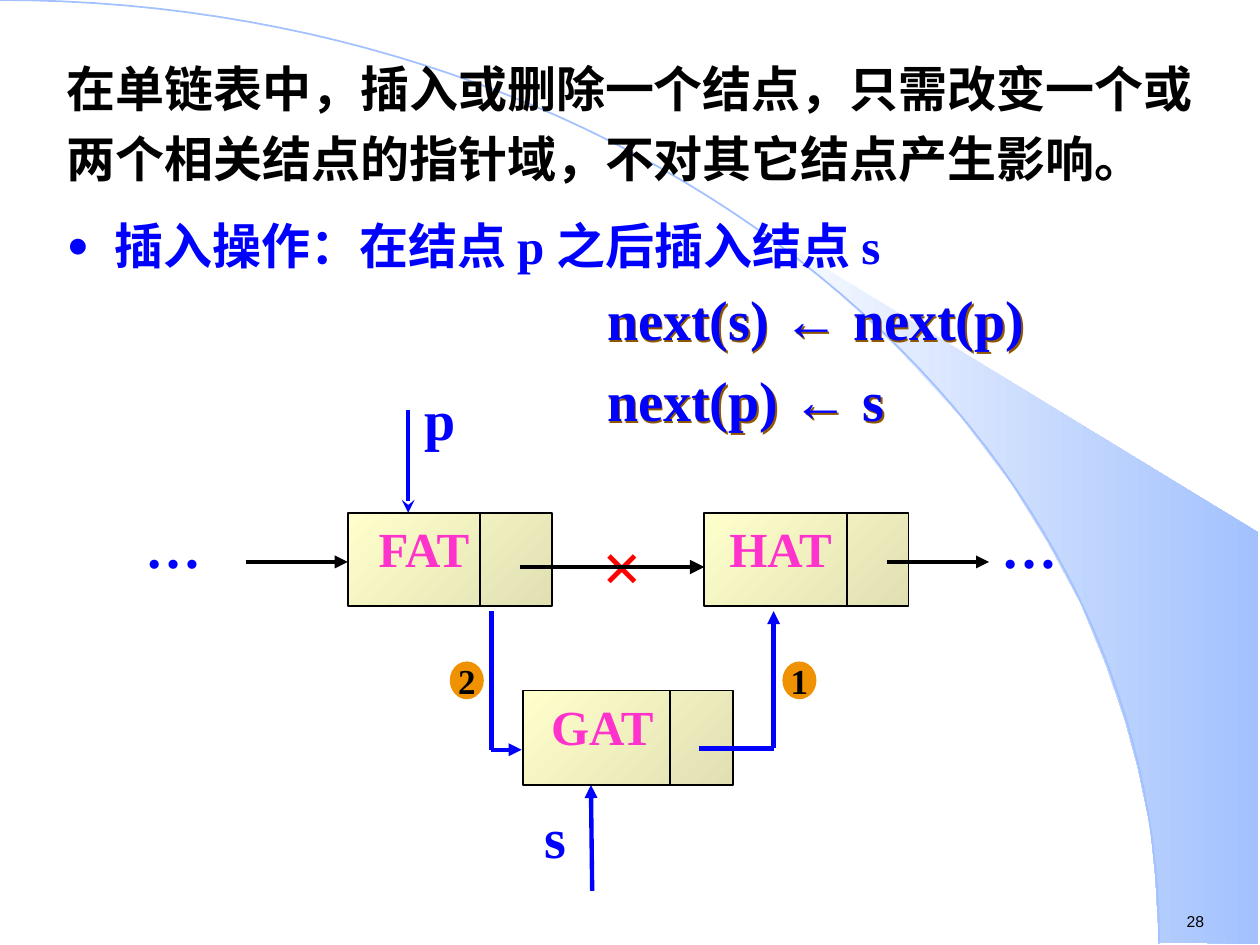
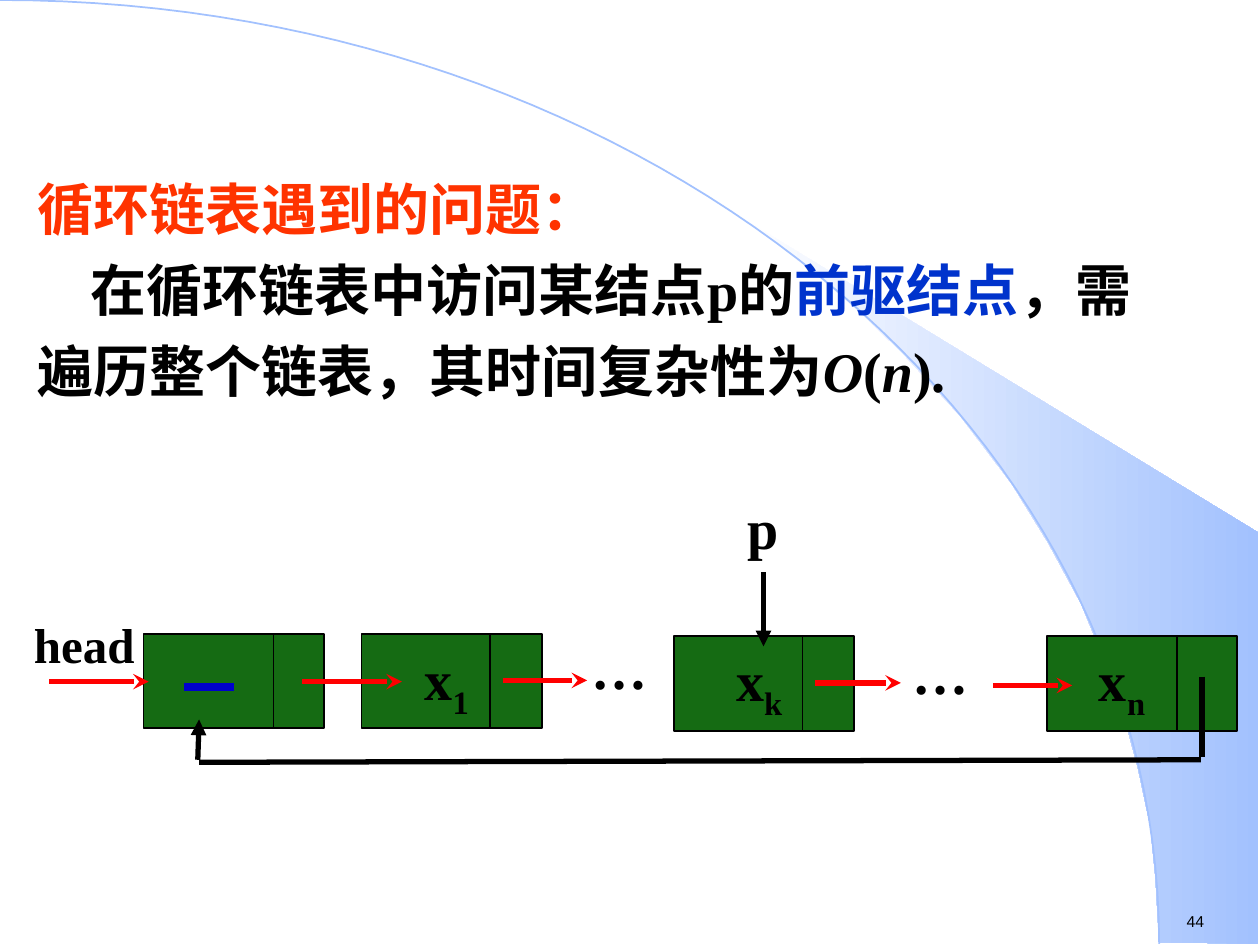
"""Build two slides on inserting into a linked list and on circular lists."""
from dataclasses import dataclass

from lxml.etree import SubElement
from pptx import Presentation
from pptx.dml.color import RGBColor
from pptx.enum.shapes import MSO_CONNECTOR, MSO_SHAPE
from pptx.enum.text import MSO_ANCHOR, MSO_AUTO_SIZE, PP_ALIGN
from pptx.oxml.ns import qn
from pptx.util import Inches, Pt


@dataclass(frozen=True)
class Theme:
    serif: str = "Times New Roman"
    sans: str = "Arial"
    black: str = "000000"
    blue: str = "0000FF"
    deep_blue: str = "0033CC"
    dash_blue: str = "0000CC"
    red: str = "FF0000"
    heading_red: str = "FF3300"
    pink: str = "FF33CC"
    orange: str = "EF9100"
    shadow: str = "8F5700"
    green: str = "156B13"
    white: str = "FFFFFF"
    sky: str = "A2C1FE"
    cream: str = "FFFFCC"
    khaki: str = "E0E0B3"
    cross: int = 40
    large: int = 32
    medium: int = 28
    step: int = 20
    footer: int = 9


theme = Theme()


def write(para, text, size=theme.large, color=theme.black, font=theme.serif,
          bold=True, italic=False, baseline=None):
    span = para.add_run()
    span.text = text
    span.font.size = Pt(size)
    span.font.bold = bold
    span.font.italic = italic
    span.font.name = font
    span.font.color.rgb = RGBColor.from_string(color)
    if baseline:
        span.font._element.set("baseline", str(baseline * 1000))


def draw_line(page, start, end, color=theme.black, width=2.5, head=None):
    line = page.shapes.add_connector(MSO_CONNECTOR.STRAIGHT, *map(Inches, start + end))
    line.line.width = Pt(width)
    line.line.color.rgb = RGBColor.from_string(color)
    properties = line.element.spPr
    if head:
        SubElement(properties.find(qn("a:ln")), qn("a:tailEnd"), type=head)
    SubElement(properties, qn("a:effectLst"))


deck = Presentation()
deck.slide_width, deck.slide_height = Inches(10), Inches(7.5)
layout = deck.slide_layouts[1]
insertion = deck.slides.add_slide(layout)
circular = deck.slides.add_slide(layout)

wedge_points = [
    (9.2, 7.48), (9.99, 7.49), (9.99, 4.23), (5.89, 1.73), (6.24, 1.99), (6.53, 2.22),
    (6.85, 2.5), (7.16, 2.8), (7.62, 3.3), (8.03, 3.84), (8.32, 4.31), (8.58, 4.79),
    (8.78, 5.28), (8.93, 5.72), (9.03, 6.09), (9.13, 6.56), (9.17, 6.96),
]
arc_steps = 60
arc_points = []
for step in range(arc_steps + 1):
    t = step / arc_steps
    arc_points.append((
        3 * (1 - t) ** 2 * t * 5.08 + 3 * (1 - t) * t ** 2 * 9.2 + t ** 3 * 9.2,
        3 * (1 - t) * t ** 2 * 3.35 + t ** 3 * 7.49,
    ))

backdrop = []
for points, closed in [(wedge_points, True), (arc_points, False)]:
    corners = [(Inches(x), Inches(y)) for x, y in points]
    builder = insertion.shapes.build_freeform(*corners[0])
    builder.add_line_segments(corners[1:], close=closed)
    shape = builder.convert_to_shape()
    shape.shadow.inherit = False
    backdrop.append(shape)
wedge, arc = backdrop
wedge.fill.gradient()
wedge.fill.gradient_angle = 0
for stop, color in zip(wedge.fill.gradient_stops, (theme.white, theme.sky)):
    stop.color.rgb = RGBColor.from_string(color)
wedge.line.fill.background()
arc.fill.background()
arc.line.color.rgb = RGBColor.from_string(theme.sky)
arc.line.width = Pt(1)
for position, shape in enumerate(backdrop, start=2):
    layout.shapes.element.insert(position, shape.element)

statement = insertion.shapes.title
operation = insertion.placeholders[1]
problem = circular.placeholders[1]
circular.shapes.title.element.getparent().remove(circular.shapes.title.element)
for box, place in [
    (statement, (0.43, 0.32, 9.15, 1.22)),
    (operation, (0.43, 1.66, 7.52, 0.67)),
    (problem, (0.2, 1.23, 9.21, 2.16)),
]:
    box.left, box.top, box.width, box.height = map(Inches, place)
    box.text_frame.word_wrap = True
    box.text_frame.auto_size = MSO_AUTO_SIZE.NONE
    box.text_frame.vertical_anchor = MSO_ANCHOR.TOP

para = statement.text_frame.paragraphs[0]
para.alignment = PP_ALIGN.LEFT
para.line_spacing = 1.2
para.space_before = Pt(0)
write(para, "在单链表中，插入或删除一个结点，只需改变一个或两个相关结点的指针域，不对其它结点产生影响。",
      size=theme.medium)

para = operation.text_frame.paragraphs[0]
para.space_before = Pt(0)
bullet = para._p.get_or_add_pPr()
bullet.set("marL", str(Inches(0.38)))
bullet.set("indent", str(-Inches(0.38)))
SubElement(SubElement(bullet, qn("a:buClr")), qn("a:srgbClr"), val=theme.blue)
SubElement(bullet, qn("a:buSzPct"), val="75000")
SubElement(bullet, qn("a:buChar"), char="●")
write(para, "插入操作：在结点 p 之后插入结点 s", size=theme.medium, color=theme.blue)

problem_lines = [
    (0, [("循环链表遇到的问题：", theme.heading_red, False)]),
    (0.42, [
        ("在循环链表中访问某结点p的", theme.black, False),
        ("前驱结点", theme.deep_blue, False),
        ("，需遍历整个链表，其时间复杂性为", theme.black, False),
        ("O", theme.black, True),
        ("(", theme.black, False),
        ("n", theme.black, True),
        (").", theme.black, False),
    ]),
]
frame = problem.text_frame
for number, (indent, spans) in enumerate(problem_lines):
    para = frame.add_paragraph() if number else frame.paragraphs[0]
    para.line_spacing = 1.2
    para.space_before = Pt(0)
    plain = para._p.get_or_add_pPr()
    plain.set("marL", "0")
    plain.set("indent", str(Inches(indent)))
    SubElement(plain, qn("a:buNone"))
    for text, color, italic in spans:
        write(para, text, color=color, italic=italic)

code = insertion.shapes.add_textbox(Inches(4.72), Inches(2.21), Inches(4.84), Inches(1.28))
code.text_frame.word_wrap = True
for number, (target, value) in enumerate([("next(s) ", " next(p)"), ("next(p) ", " s")]):
    para = code.text_frame.add_paragraph() if number else code.text_frame.paragraphs[0]
    para.space_before = Pt(8 * number)
    for text, font in [(target, theme.serif), ("←", theme.sans), (value, theme.serif)]:
        write(para, text, color=theme.blue, font=font)
effects = SubElement(code.element.spPr, qn("a:effectLst"))
shadow = SubElement(effects, qn("a:outerShdw"), dist=str(Pt(1.4)), dir="2700000", algn="ctr")
SubElement(shadow, qn("a:srgbClr"), val=theme.shadow)

for page, left, top, width, height, divider in [
    (insertion, 2.76, 4.07, 1.62, 0.74, 3.81),
    (insertion, 5.59, 4.07, 1.62, 0.74, 6.72),
    (insertion, 4.15, 5.48, 1.67, 0.75, 5.32),
    (circular, 1.14, 5.03, 1.43, 0.75, 2.17),
    (circular, 2.87, 5.03, 1.43, 0.75, 3.89),
    (circular, 5.35, 5.05, 1.43, 0.75, 6.37),
    (circular, 8.31, 5.05, 1.51, 0.75, 9.34),
]:
    node = page.shapes.add_shape(MSO_SHAPE.RECTANGLE, *map(Inches, (left, top, width, height)))
    node.shadow.inherit = False
    node.line.color.rgb = RGBColor.from_string(theme.black)
    node.line.width = Pt(1)
    if page is insertion:
        node.fill.gradient()
        node.fill.gradient_angle = 315
        for stop, color in zip(node.fill.gradient_stops, (theme.cream, theme.khaki)):
            stop.color.rgb = RGBColor.from_string(color)
    else:
        node.fill.solid()
        node.fill.fore_color.rgb = RGBColor.from_string(theme.green)
    draw_line(page, (divider, top), (divider, top + height), width=1)

serif_label = {"inset": (0.1, 0.05)}
tight = {"inset": (0, 0), "align": PP_ALIGN.CENTER, "spacing": 0.7}
name = {"inset": (0.1, 0.05), "align": PP_ALIGN.CENTER}
value = {**name, "spacing": 0.8}
dots = {**serif_label, "spacing": 1.05}
blue = {"color": theme.blue}
pink = {"color": theme.pink, "size": theme.medium}
number_format = {"size": theme.footer, "font": theme.sans, "bold": False}
for page, text, subscript, place, layout_format, text_format in [
    (insertion, "28", "", (9.32, 7.19, 0.77, 0.25), serif_label, number_format),
    (insertion, "×", "", (4.68, 4.1, 0.51, 0.77), serif_label,
     {"size": theme.cross, "color": theme.red}),
    (insertion, "…", "", (1.06, 3.99, 0.81, 0.66), dots, blue),
    (insertion, "…", "", (7.85, 3.99, 0.81, 0.66), dots, blue),
    (insertion, "FAT", "", (2.84, 4.07, 1.05, 0.57), name, pink),
    (insertion, "HAT", "", (5.67, 4.07, 1.05, 0.57), name, pink),
    (insertion, "GAT", "", (4.24, 5.48, 1.08, 0.57), name, pink),
    (insertion, "p", "", (3.27, 3, 0.48, 0.64), serif_label, blue),
    (insertion, "s", "", (4.22, 6.32, 0.5, 0.64), serif_label, blue),
    (circular, "44", "", (9.32, 7.19, 0.77, 0.25), serif_label, number_format),
    (circular, "head", "", (0.27, 4.97, 0.87, 0.37), {"inset": (0, 0), "spacing": 0.8},
     {"size": theme.medium}),
    (circular, "x", "1", (3.03, 5.12, 1.03, 0.59), value, {}),
    (circular, "x", "k", (5.51, 5.13, 1.03, 0.59), value, {}),
    (circular, "x", "n", (8.39, 5.13, 1.03, 0.59), value, {}),
    (circular, "…", "", (4.65, 5.17, 0.53, 0.37), tight, {}),
    (circular, "…", "", (7.2, 5.21, 0.53, 0.37), tight, {}),
    (circular, "p", "", (5.79, 4.06, 0.53, 0.37), tight, {}),
]:
    frame = page.shapes.add_textbox(*map(Inches, place)).text_frame
    frame.word_wrap = True
    side, edge = map(Inches, layout_format["inset"])
    frame.margin_left = frame.margin_right = side
    frame.margin_top = frame.margin_bottom = edge
    para = frame.paragraphs[0]
    para.alignment = layout_format.get("align", PP_ALIGN.LEFT)
    para.line_spacing = layout_format.get("spacing", 1.0)
    write(para, text, **text_format)
    if subscript:
        write(para, subscript, baseline=-25, **text_format)

for text, left in [("1", 6.21), ("2", 3.57)]:
    badge = insertion.shapes.add_shape(
        MSO_SHAPE.OVAL, Inches(left), Inches(5.25), Inches(0.27), Inches(0.3))
    badge.shadow.inherit = False
    badge.fill.solid()
    badge.fill.fore_color.rgb = RGBColor.from_string(theme.orange)
    badge.line.fill.background()
    frame = badge.text_frame
    frame.word_wrap = False
    frame.vertical_anchor = MSO_ANCHOR.MIDDLE
    frame.margin_left = frame.margin_right = frame.margin_top = frame.margin_bottom = 0
    frame.paragraphs[0].alignment = PP_ALIGN.CENTER
    write(frame.paragraphs[0], text, size=theme.step)

for start, end, color, width, head in [
    ((1.95, 4.46), (2.76, 4.46), theme.black, 2.5, "triangle"),
    ((4.13, 4.5), (5.59, 4.5), theme.black, 2.75, "triangle"),
    ((7.04, 4.46), (7.85, 4.46), theme.black, 2.5, "triangle"),
    ((3.24, 3.25), (3.24, 4.07), theme.blue, 2.5, "stealth"),
    ((3.9, 4.85), (3.9, 5.95), theme.blue, 2.5, None),
    ((3.9, 5.95), (4.14, 5.95), theme.blue, 2.5, "triangle"),
    ((5.55, 5.94), (6.14, 5.94), theme.blue, 2.5, None),
    ((6.14, 5.94), (6.14, 4.85), theme.blue, 2.5, "triangle"),
    ((4.7, 7.07), (4.69, 6.23), theme.blue, 2.5, "triangle"),
]:
    draw_line(insertion, start, end, color, width, head)

for left, right, y in [
    (0.39, 1.18, 5.41), (2.4, 3.19, 5.41), (3.99, 4.66, 5.4),
    (6.47, 7.15, 5.42), (7.88, 8.51, 5.44),
]:
    draw_line(circular, (left, y), (right, y), theme.red, 3, "stealth")
draw_line(circular, (1.46, 5.45), (1.86, 5.45), theme.dash_blue, 4.5)
for start, end, head in [
    ((9.54, 5.37), (9.54, 6.01), None),
    ((9.53, 6.03), (1.58, 6.05), None),
    ((1.57, 6.03), (1.58, 5.71), "triangle"),
    ((6.06, 4.54), (6.06, 5.13), "triangle"),
]:
    draw_line(circular, start, end, width=3, head=head)

deck.save("out.pptx")
